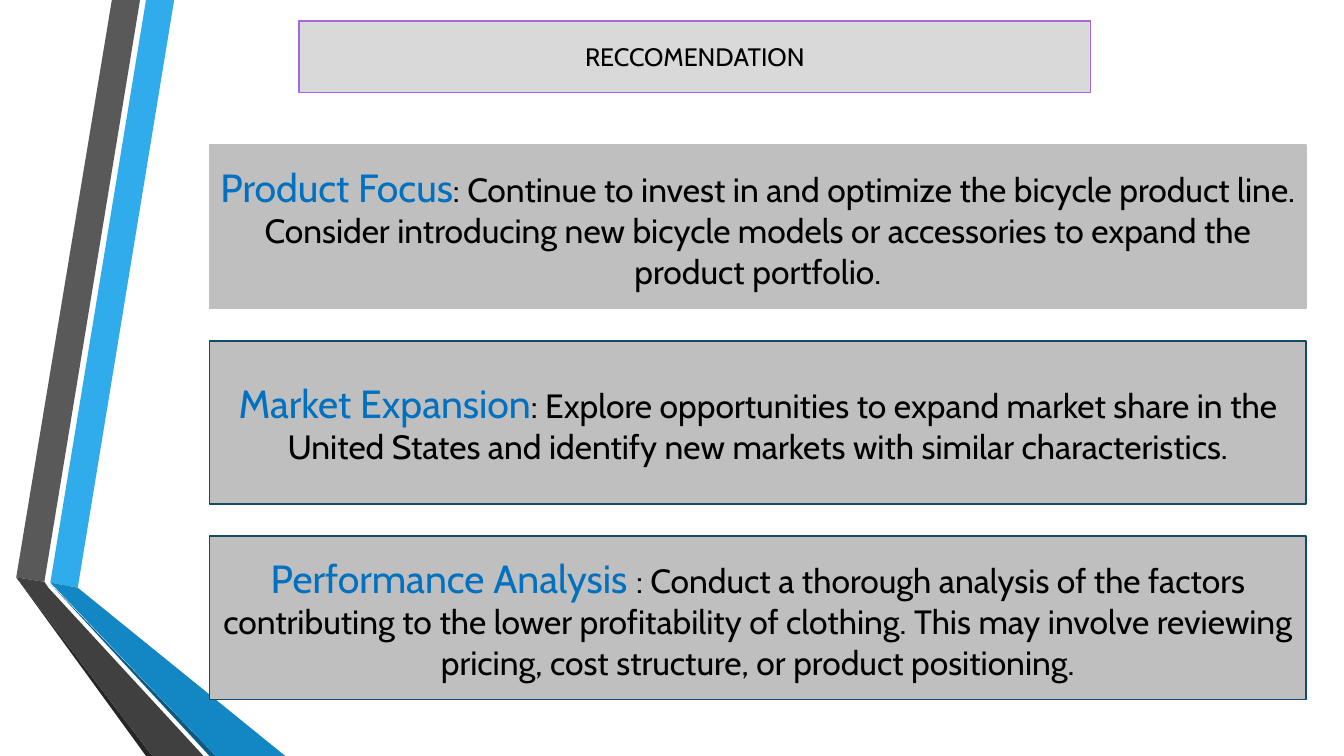
from collections import namedtuple

from pptx import Presentation
from pptx.dml.color import RGBColor
from pptx.enum.shapes import MSO_SHAPE
from pptx.enum.text import MSO_ANCHOR, MSO_AUTO_SIZE, PP_ALIGN
from pptx.util import Cm, Pt

Box = namedtuple("Box", "left top width height")

FONT = "Cabin"
COLOURS = {
    "text": "000000",
    "heading": "0070C0",
    "title_fill": "D9D9D9",
    "title_line": "A666E1",
    "panel": "BFBFBF",
    "panel_line": "154B67",
    "blue": "30ACEC",
    "blue_fold": "1287C3",
    "blue_edge": "0C5A82",
    "grey": "595959",
    "grey_fold": "404040",
    "grey_edge": "262626",
}

# Ribbon outlines in centimetres from the top left of their box, back to front
RIBBONS = [
    ("blue", [(0.86, 14.68), (1.55, 14.81), (3.98, 0), (3.27, 0)]),
    ("grey", [(3.12, 0), (2.41, 0), (0, 14.55), (0.71, 14.66)]),
    ("grey_edge", [(0, 14.55), (3.27, 19.05), (3.43, 19.05)]),
    ("blue_edge", [(0.86, 14.71), (4.87, 19.05), (5.03, 19.05)]),
    ("blue_fold", [(0.86, 14.68), (5.03, 19.05), (6.78, 19.05), (1.55, 14.81)]),
    ("grey_fold", [(4.72, 19.05), (0.81, 14.81), (0.71, 14.66), (0, 14.55), (3.43, 19.05)]),
]

RECOMMENDATIONS = [
    ("Product Focus",
     ": Continue to invest in and optimize the bicycle product line. Consider introducing "
     "new bicycle models or accessories to expand the product portfolio.",
     "panel"),
    ("Market Expansion",
     ": Explore opportunities to expand market share in the United States and identify new "
     "markets with similar characteristics.",
     "panel_line"),
    ("Performance Analysis ",
     ": Conduct a thorough analysis of the factors contributing to the lower profitability "
     "of clothing. This may involve reviewing pricing, cost structure, or product positioning.",
     "panel_line"),
]


def colour(name):
    return RGBColor.from_string(COLOURS[name])


def paint(shape, fill, line=None):
    shape.fill.solid()
    shape.fill.fore_color.rgb = colour(fill)
    if line:
        shape.line.color.rgb = colour(line)
        shape.line.width = Pt(1.25)
    else:
        shape.line.fill.background()


def centre_text(shape):
    """Prepare the shape for wrapped, centred text and return its first paragraph."""
    frame = shape.text_frame
    frame.word_wrap = True
    frame.auto_size = MSO_AUTO_SIZE.NONE
    frame.vertical_anchor = MSO_ANCHOR.MIDDLE
    paragraph = frame.paragraphs[0]
    paragraph.alignment = PP_ALIGN.CENTER
    return paragraph


def add_text(paragraph, text, size=24, color="text"):
    run = paragraph.add_run()
    run.text = text
    run.font.name = FONT
    run.font.size = Pt(size)
    run.font.color.rgb = colour(color)


def add_ribbons(slide, box):
    for fill, outline in RIBBONS:
        points = [(Cm(box.left + x), Cm(box.top + y)) for x, y in outline]
        builder = slide.shapes.build_freeform(*points[0])
        builder.add_line_segments(points[1:], close=True)
        ribbon = builder.convert_to_shape()
        ribbon.shadow.inherit = False
        paint(ribbon, fill)


def add_title(slide, box):
    title = slide.shapes.title
    title.left, title.top, title.width, title.height = map(Cm, box)
    paint(title, "title_fill", "title_line")
    add_text(centre_text(title), "RECCOMENDATION", size=18)


def add_recommendations(slide, box, gap):
    """Stack equal panels down the box, separated by the gap."""
    count = len(RECOMMENDATIONS)
    height = (box.height - gap * (count - 1)) / count
    for index, (heading, body, line) in enumerate(RECOMMENDATIONS):
        top = box.top + index * (height + gap)
        panel = slide.shapes.add_shape(
            MSO_SHAPE.RECTANGLE, Cm(box.left), Cm(top), Cm(box.width), Cm(height))
        panel.shadow.inherit = False
        paint(panel, "panel", line)
        paragraph = centre_text(panel)
        add_text(paragraph, heading, size=28, color="heading")
        add_text(paragraph, body)


def main():
    presentation = Presentation()
    presentation.slide_width = Cm(33.87)
    presentation.slide_height = Cm(19.05)
    slide = presentation.slides.add_slide(presentation.slide_layouts.get_by_name("Title Only"))
    add_ribbons(slide, Box(0.41, 0, 6.78, 19.05))
    add_title(slide, Box(7.54, 0.53, 19.94, 1.8))
    add_recommendations(slide, Box(5.28, 3.66, 27.64, 13.97), gap=0.81)
    presentation.save("out.pptx")


if __name__ == "__main__":
    main()
